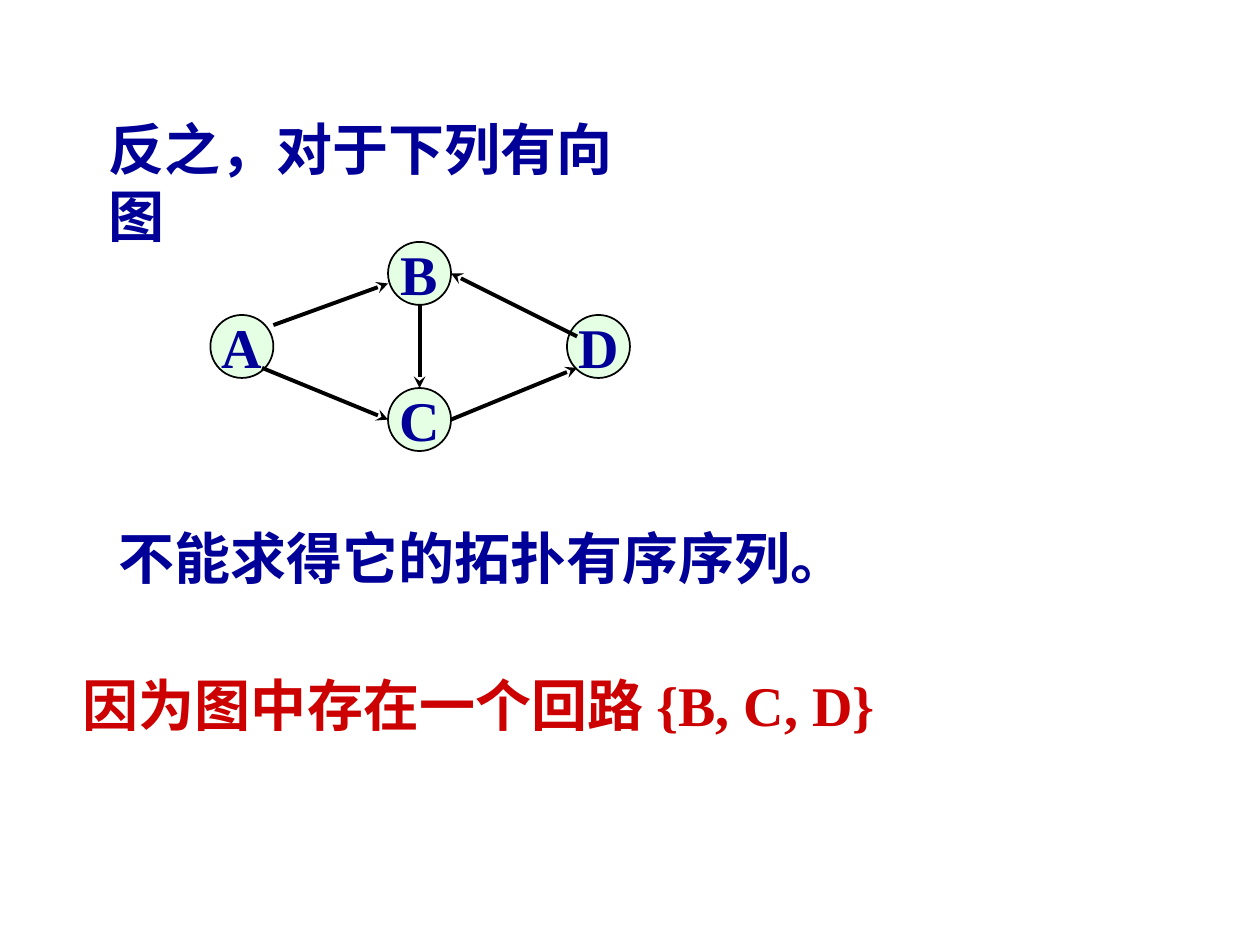
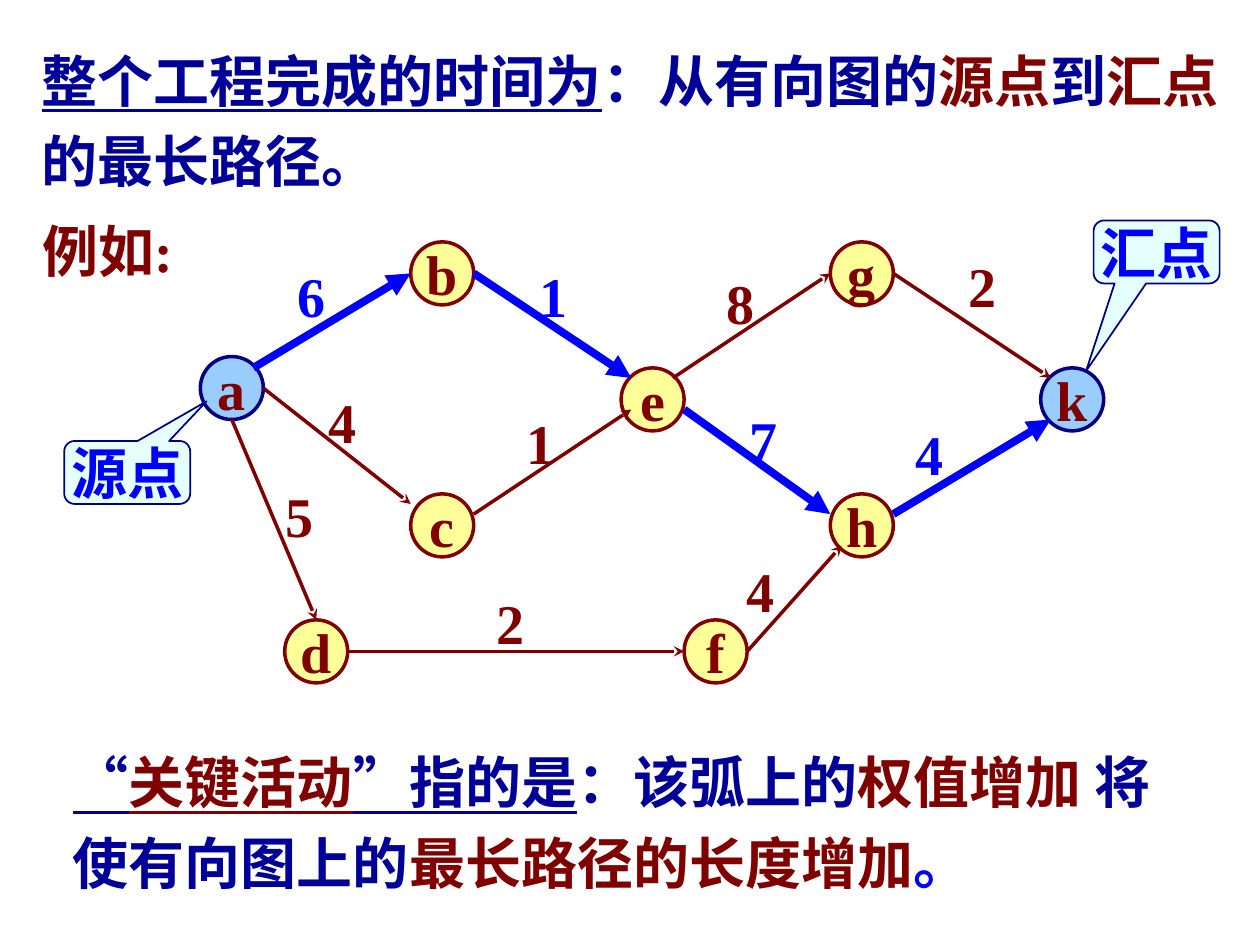
from pptx import Presentation
from pptx.dml.color import RGBColor
from pptx.enum.shapes import MSO_CONNECTOR, MSO_SHAPE
from pptx.enum.text import MSO_ANCHOR, MSO_AUTO_SIZE, PP_ALIGN
from pptx.oxml.ns import qn
from pptx.util import Inches, Pt
from lxml.etree import SubElement

NAVY, MAROON, RED, BLUE = "000099", "800000", "CC0000", "0000FF"
BLACK, EDGE = "000000", "000080"
MINT, YELLOW, SKY, AQUA = "CCFFCC", "FFFF99", "99CCFF", "CCFFFF"
hue = RGBColor.from_string


def write(shape, runs, align=PP_ALIGN.LEFT, anchor=MSO_ANCHOR.TOP, wrap=False, lead=None):
    frame = shape.text_frame
    frame.word_wrap = wrap
    frame.vertical_anchor = anchor
    para = frame.paragraphs[0]
    para.alignment = align
    para.line_spacing = lead
    font = para.font
    font.name, font.size, font.bold = "Times New Roman", Pt(32), True
    font.color.rgb = hue(runs[0][1])
    for words, color, *under in runs:
        run = para.add_run()
        run.text = words
        if len(runs) > 1:
            run.font.color.rgb = hue(color)
            run.font.underline = bool(under)


def link(slide, ends, color, width, head):
    line = slide.shapes.add_connector(MSO_CONNECTOR.STRAIGHT, *[Inches(v) for v in ends])
    line.line.color.rgb = hue(color)
    line.line.width = Pt(width)
    SubElement(line.line._get_or_add_ln(), qn("a:tailEnd"), type=head)
    SubElement(line._element.spPr, qn("a:effectLst"))


deck = Presentation()
deck.slide_width, deck.slide_height = Inches(10), Inches(7.5)
loop, path = [deck.slides.add_slide(deck.slide_layouts[5]) for _ in range(2)]

nodes = [(loop, name, x, y, MINT, BLACK, 1, NAVY) for name, x, y in [
    ("B", 3.08, 1.92), ("D", 4.5, 2.5), ("A", 1.67, 2.5), ("C", 3.08, 3.08)]]
nodes += [(path, name, x, y, SKY if name in "ak" else YELLOW,
           EDGE if name in "ak" else MAROON, 2, MAROON) for name, x, y in [
    ("a", 1.59, 2.83), ("b", 3.26, 1.92), ("c", 3.26, 3.92),
    ("d", 2.26, 4.92), ("e", 4.93, 2.92), ("f", 5.43, 4.92),
    ("g", 6.59, 1.92), ("h", 6.59, 3.92), ("k", 8.26, 2.92)]]
nodes += [(path, "源点", 0.51, 3.5, AQUA, EDGE, 1, BLUE, 0.63, -1.13),
          (path, "汇点", 8.68, 1.75, AQUA, EDGE, 1, BLUE, -0.56, 1.89)]

for slide, name, x, y, fill, edge, width, ink, *tip in nodes:
    kind = MSO_SHAPE.ROUNDED_RECTANGULAR_CALLOUT if tip else MSO_SHAPE.OVAL
    node = slide.shapes.add_shape(
        kind, Inches(x), Inches(y), Inches(1 if tip else 0.5), Inches(0.5))
    for spot, value in enumerate(tip):
        node.adjustments[spot] = value
    node.shadow.inherit = False
    node.fill.solid()
    node.fill.fore_color.rgb = hue(fill)
    if fill in (MINT, AQUA):
        tint = node._element.spPr.find(".//" + qn("a:srgbClr"))
        SubElement(tint, qn("a:alpha"), val="50000")
    node.line.color.rgb = hue(edge)
    node.line.width = Pt(width)
    write(node, [(name, ink)], PP_ALIGN.CENTER, MSO_ANCHOR.MIDDLE)

for ends in [(2.17, 2.58, 3.08, 2.25), (2.08, 2.92, 3.08, 3.33),
             (3.58, 3.33, 4.58, 2.92), (4.58, 2.67, 3.58, 2.17),
             (3.33, 2.42, 3.33, 3.08)]:
    link(loop, ends, BLACK, 2.25, "stealth")

labels = [
    (loop, "不能求得它的拓扑有序序列。", NAVY, 0.84, 4.11, 5.98),
    (loop, "因为图中存在一个回路 {B, C, D}", RED, 0.56, 5.27, 6.71),
    (path, "例如:", MAROON, 0.24, 1.67, 1.34)]

for ends, cost, x, y, main in [
        ((2.09, 3.08, 3.26, 4), "4", 2.51, 3.03, False),
        ((3.76, 4.08, 5.01, 3.25), "1", 4.08, 3.19, False),
        ((5.34, 3, 6.59, 2.17), "8", 5.67, 2.08, False),
        ((7.09, 2.17, 8.34, 3), "2", 7.59, 1.95, False),
        ((1.84, 3.33, 2.51, 4.92), "5", 2.17, 3.77, False),
        ((2.76, 5.17, 5.43, 5.17), "2", 3.84, 4.62, False),
        ((5.93, 5.17, 6.68, 4.33), "4", 5.83, 4.37, False),
        ((2.01, 2.92, 3.26, 2.17), "6", 2.26, 2.03, True),
        ((3.76, 2.17, 5.01, 3), "1", 4.18, 2.03, True),
        ((5.43, 3.25, 6.59, 4.08), "7", 5.85, 3.17, True),
        ((7.09, 4.08, 8.34, 3.33), "4", 7.17, 3.28, True)]:
    color = BLUE if main else MAROON
    link(path, ends, color, 4.5 if main else 2, "triangle" if main else "stealth")
    labels.append((path, cost, color, x, y, 0.42))

for slide, words, color, x, y, width in labels:
    label = slide.shapes.add_textbox(Inches(x), Inches(y), Inches(width), Inches(0.64))
    label.text_frame.auto_size = MSO_AUTO_SIZE.SHAPE_TO_FIT_TEXT
    write(label, [(words, color)])

note = path.shapes.add_textbox(0, 0, 0, 0)
blocks = [
    (loop.shapes.title, (0.76, 0.86, 4.65, 0.64), None,
     [("反之，对于下列有向图", NAVY)]),
    (path.shapes.title, (0.23, 0.21, 9.6, 1.38), 1.2,
     [("整个工程完成的时间为", NAVY, True), ("：从有向图的", NAVY), ("源点", MAROON),
      ("到", NAVY), ("汇点", MAROON), ("的最长路径。", NAVY)]),
    (note, (0.48, 5.78, 9.18, 1.38), 1.2,
     [("“", NAVY, True), ("关键活动", MAROON, True), ("”指的是", NAVY, True),
      ("：该弧上的", NAVY), ("权值增加 ", MAROON), ("将使有向图上的", NAVY),
      ("最长路径的长度增加", MAROON), ("。", BLUE)])]
for block, box, lead, runs in blocks:
    block.left, block.top, block.width, block.height = [Inches(v) for v in box]
    block.text_frame.auto_size = MSO_AUTO_SIZE.SHAPE_TO_FIT_TEXT
    write(block, runs, wrap=lead is not None, lead=lead)

deck.save("out.pptx")
